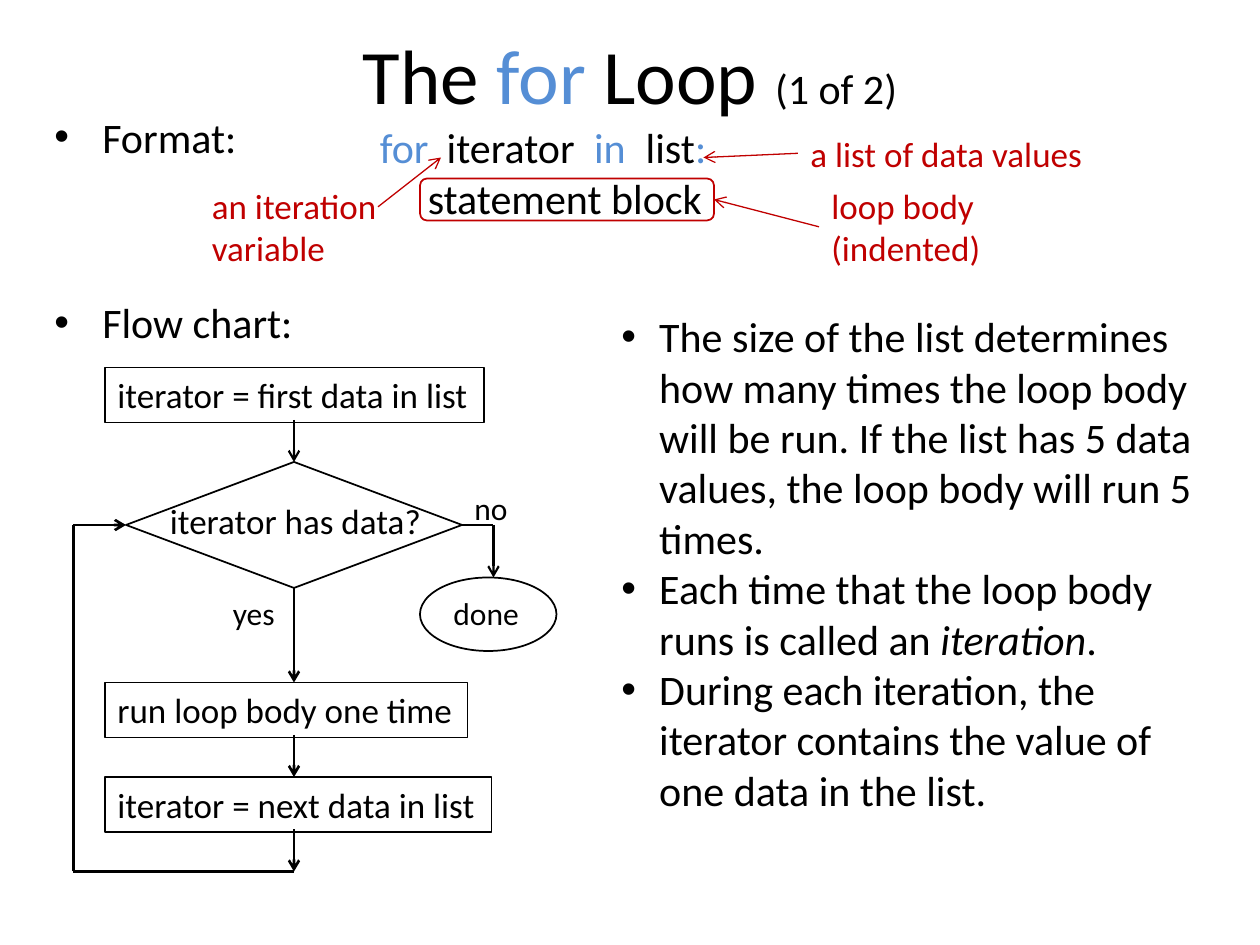
from dataclasses import dataclass

from lxml import etree
from pptx import Presentation, util as u
from pptx.dml.color import RGBColor
from pptx.enum import shapes, text
from pptx.oxml.ns import qn


@dataclass(frozen=True)
class Theme:
    """Colours, font and type sizes of the slide."""
    font: str = "Calibri"
    ink: str = "000000"
    keyword: str = "558ED5"
    note: str = "C00000"
    title: int = 44
    body: int = 24
    step: int = 20
    small: int = 18


T = Theme()
CELL = 1 / 12  # grid of 120 columns by 90 rows, in inches


@dataclass(frozen=True)
class Run:
    """A stretch of text in one style."""
    words: str
    size: int = T.body
    color: str = T.ink
    italic: bool = False


@dataclass(frozen=True)
class Para:
    """A paragraph with its layout; indents and tabs are in inches."""
    runs: tuple[Run, ...]
    indent: float = 0
    bullet: bool = False
    before: int = 0
    tabs: tuple[float, ...] = ()
    align: text.PP_ALIGN = text.PP_ALIGN.LEFT


@dataclass(frozen=True)
class Box:
    """A place on the grid."""
    col: float
    row: float
    cols: float
    rows: float


@dataclass(frozen=True)
class Line:
    """A straight line between two grid points."""
    x1: float
    y1: float
    x2: float
    y2: float
    width: float = 1.5
    color: str = T.ink
    arrow: bool = True


def grid(n: float) -> u.Length:
    """Turn grid cells into a length."""
    return u.Inches(n * CELL)


def frame(box: Box) -> tuple[u.Length, ...]:
    """Give left, top, width and height of a box."""
    return tuple(grid(n) for n in (box.col, box.row, box.cols, box.rows))


def plain(words: str, size: int = T.body, color: str = T.ink) -> Para:
    """Make a paragraph of one run."""
    return Para((Run(words, size, color),))


def write(sp, paras: list[Para], wrap: bool) -> None:
    """Fill a shape with paragraphs, run by run."""
    tf = sp.text_frame
    tf.word_wrap = wrap
    tf.vertical_anchor = text.MSO_ANCHOR.TOP
    for i, para in enumerate(paras):
        p = tf.add_paragraph() if i else tf.paragraphs[0]
        p.alignment = para.align
        p.space_before = u.Pt(para.before)
        pPr = p._p.get_or_add_pPr()
        if para.indent:
            pPr.set("marL", str(u.Inches(para.indent)))
        if para.bullet:
            pPr.set("indent", str(-u.Inches(para.indent)))
            etree.SubElement(pPr, qn("a:buFont"), typeface="Arial")
            etree.SubElement(pPr, qn("a:buChar"), char="•")
        if para.tabs:
            stops = etree.SubElement(pPr, qn("a:tabLst"))
            for pos in para.tabs:
                etree.SubElement(stops, qn("a:tab"), pos=str(u.Inches(pos)), algn="l")
        for run in para.runs:
            r = p.add_run()
            r.text = run.words
            r.font.name = T.font
            r.font.size = u.Pt(run.size)
            r.font.italic = run.italic
            r.font.color.rgb = RGBColor.from_string(run.color)


def add_text(s, box: Box, paras: list[Para], wrap: bool = False):
    """Add a text box."""
    sp = s.shapes.add_textbox(*frame(box))
    write(sp, paras, wrap)
    return sp


def add_outline(s, kind: shapes.MSO_SHAPE, box: Box, width: float, color: str = T.ink):
    """Add an unfilled shape with a thin outline."""
    sp = s.shapes.add_shape(kind, *frame(box))
    sp.shadow.inherit = False
    sp.fill.background()
    sp.line.width = u.Pt(width)
    sp.line.color.rgb = RGBColor.from_string(color)
    return sp


def add_line(s, line: Line) -> None:
    """Add a line, with an open arrowhead at its end if asked."""
    ends = (grid(n) for n in (line.x1, line.y1, line.x2, line.y2))
    sp = s.shapes.add_connector(shapes.MSO_CONNECTOR.STRAIGHT, *ends)
    sp.line.width = u.Pt(line.width)
    sp.line.color.rgb = RGBColor.from_string(line.color)
    if line.arrow:
        etree.SubElement(sp.line._get_or_add_ln(), qn("a:tailEnd"), type="arrow")
    etree.SubElement(sp._element.spPr, qn("a:effectLst"))


def add_format(s) -> None:
    """Draw the syntax of the loop with its notes."""
    notes = [
        (Box(76, 12, 28.5, 5.25), ["a list of data values"]),
        (Box(19, 17, 19, 9.25), ["an iteration", "variable"]),
        (Box(78, 17, 16.8, 9.25), ["loop body", "(indented)"]),
    ]
    for box, lines in notes:
        add_text(s, box, [plain(words, T.step, T.note) for words in lines])
    for ends in [(76, 14.6, 67, 15), (36, 19.7, 42, 15), (78, 21.6, 68, 19)]:
        add_line(s, Line(*ends, width=0.75, color=T.note))
    add_outline(s, shapes.MSO_SHAPE.ROUNDED_RECTANGLE, Box(40, 17, 28, 4), 1, T.note)
    syntax = (Run("for", color=T.keyword), Run("\titerator"),
              Run("\tin", color=T.keyword), Run("\tlist"), Run(":", color=T.keyword))
    add_text(s, Box(35, 11, 34.5, 10.9),
             [Para(syntax, tabs=(0.53, 1.7, 2.11)),
              Para((Run("statement block"),), indent=0.38)])


def add_flow_chart(s) -> None:
    """Draw the flow chart of the loop."""
    axis, back, middle, bottom = 28, 7, 50, 83
    steps = [("iterator = first data in list", 35, 36.1),
             ("run loop body one time", 65, 34.5),
             ("iterator = next data in list", 74, 36.8)]
    for words, row, cols in steps:
        sp = add_outline(s, shapes.MSO_SHAPE.RECTANGLE, Box(10, row, cols, 5.25), 0.75)
        write(sp, [plain(words, T.step)], wrap=False)
    add_outline(s, shapes.MSO_SHAPE.FLOWCHART_DECISION, Box(12, 44, 32, 12), 1)
    add_outline(s, shapes.MSO_SHAPE.OVAL, Box(40, 55, 13, 7), 1)
    labels = [("iterator has data?", Box(15, 47, 26.6, 5.25), T.step),
              ("no", Box(44, 46, 5.6, 4.8), T.small),
              ("yes", Box(21, 56, 6.5, 4.8), T.small),
              ("done", Box(42, 56, 9, 4.8), T.small)]
    for words, box, size in labels:
        add_text(s, box, [plain(words, size)])
    for top, end, width in [(40, 44, 1.25), (56, 65, 1.5), (70, 74, 1.5), (79, bottom, 1.5)]:
        add_line(s, Line(axis, top, axis, end, width))
    for line in [Line(axis, bottom, back, bottom, arrow=False),
                 Line(back, bottom, back, middle, arrow=False),
                 Line(back, middle, 12, middle),
                 Line(44, middle, 47, middle, 1.25, arrow=False),
                 Line(47, middle, 47, 55, 1.25)]:
        add_line(s, line)


def main() -> None:
    """Build and save the slide."""
    prs = Presentation()
    prs.slide_width, prs.slide_height = grid(120), grid(90)
    s = prs.slides.add_slide(prs.slide_layouts[6])
    title = (Run("The ", T.title), Run("for", T.title, T.keyword),
             Run(" Loop ", T.title), Run("(1 of 2)"))
    sp = add_text(s, Box(6, 2, 108, 10), [Para(title, align=text.PP_ALIGN.CENTER)], wrap=True)
    sp.text_frame.vertical_anchor = text.MSO_ANCHOR.MIDDLE
    add_text(s, Box(4, 10, 111, 74),
             [Para((Run("Format:"),), 0.38, True),
              Para((Run("Flow chart:"),), 0.38, True, before=77)], wrap=True)
    add_format(s)
    facts = [
        (Run("The size of the list determines how many times the loop body will be run. "
             "If the list has 5 data values, the loop body will run 5 times."),),
        (Run("Each time that the loop body runs is called an "),
         Run("iteration", italic=True), Run(".")),
        (Run("During each iteration, the iterator contains the value of one data in the list."),),
    ]
    add_text(s, Box(58, 29, 57, 49.7), [Para(runs, 0.3, True) for runs in facts], wrap=True)
    add_flow_chart(s)
    prs.save("out.pptx")


main()
